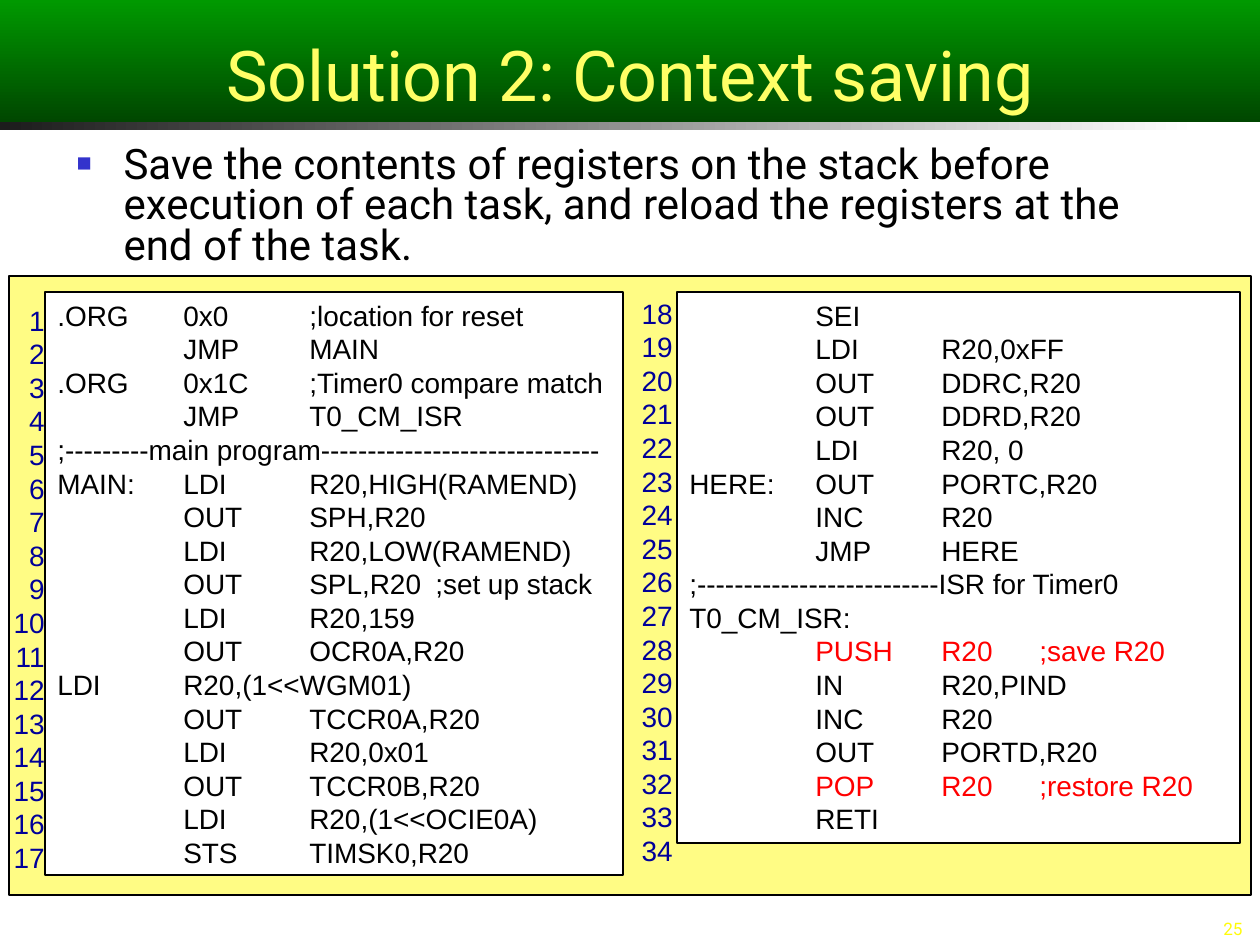
from lxml import etree
from pptx import Presentation
from pptx.dml.color import RGBColor
from pptx.enum.shapes import MSO_SHAPE
from pptx.enum.text import MSO_ANCHOR, MSO_AUTO_SIZE, PP_ALIGN
from pptx.oxml.ns import qn
from pptx.util import Pt

RECT = MSO_SHAPE.RECTANGLE
TOP = MSO_ANCHOR.TOP
BOTTOM = MSO_ANCHOR.BOTTOM
GROW = MSO_AUTO_SIZE.SHAPE_TO_FIT_TEXT
FIXED = MSO_AUTO_SIZE.NONE
LEFT = PP_ALIGN.LEFT
CENTER = PP_ALIGN.CENTER
RIGHT = PP_ALIGN.RIGHT
UNIT = 914400 / 126

SETUP = """.ORG\t0x0\t;location for reset
\tJMP\tMAIN
.ORG\t0x1C\t;Timer0 compare match
\tJMP\tT0_CM_ISR
;---------main program------------------------------
MAIN:\tLDI\tR20,HIGH(RAMEND)
\tOUT\tSPH,R20
\tLDI\tR20,LOW(RAMEND)
\tOUT\tSPL,R20\t;set up stack
\tLDI\tR20,159
\tOUT\tOCR0A,R20
LDI\tR20,(1<<WGM01)
\tOUT\tTCCR0A,R20
\tLDI\tR20,0x01
\tOUT\tTCCR0B,R20
\tLDI\tR20,(1<<OCIE0A)
\tSTS\tTIMSK0,R20"""

LOOP = """\tSEI
\tLDI\tR20,0xFF
\tOUT\tDDRC,R20
\tOUT\tDDRD,R20
\tLDI\tR20, 0
HERE:\tOUT\tPORTC,R20
\tINC\tR20
\tJMP\tHERE
;--------------------------ISR for Timer0
T0_CM_ISR:
\tPUSH\tR20\t;save R20
\tIN\tR20,PIND
\tINC\tR20
\tOUT\tPORTD,R20
\tPOP\tR20\t;restore R20
\tRETI"""


def px(n):
    return round(n * UNIT)


def rgb(code):
    return RGBColor.from_string(code)


class Deck:
    head = "Roboto"
    mono = "Arial"
    black = "000000"
    red = "FF0000"
    navy = "000099"

    def __init__(self):
        self.prs = Presentation()
        self.prs.slide_width = px(1260)
        self.prs.slide_height = px(945)
        self.slide = self.prs.slides.add_slide(self.prs.slide_layouts[1])

    def place(self, shape, x, y, w, h):
        shape.left, shape.top = px(x), px(y)
        shape.width, shape.height = px(w), px(h)

    def fade(self, shape, first, last, angle):
        shape.fill.gradient()
        shape.fill.gradient_angle = angle
        for stop, code in zip(shape.fill.gradient_stops, (first, last)):
            stop.color.rgb = rgb(code)

    def rect(self, x, y, w, h):
        shape = self.slide.shapes.add_shape(RECT, px(x), px(y), px(w), px(h))
        shape.shadow.inherit = False
        return shape

    def panel(self, x, y, w, h, fill):
        shape = self.rect(x, y, w, h)
        shape.fill.solid()
        shape.fill.fore_color.rgb = rgb(fill)
        shape.line.color.rgb = rgb(self.black)
        shape.line.width = Pt(0.75)
        return shape

    def band(self, x, y, w, h, first, last):
        shape = self.rect(x, y, w, h)
        self.fade(shape, first, last, 0)
        shape.line.fill.background()

    def box(self, x, y, w, h):
        return self.slide.shapes.add_textbox(px(x), px(y), px(w), px(h))

    def frame(self, shape, anchor, fit):
        frame = shape.text_frame
        frame.word_wrap = True
        frame.vertical_anchor = anchor
        frame.auto_size = fit
        return frame

    def run(self, para, text, size, face, code):
        run = para.add_run()
        run.text = text
        run.font.size = Pt(size)
        run.font.name = face
        run.font.color.rgb = rgb(code)

    def tabs(self, para, stops):
        tabs = etree.SubElement(para._p.get_or_add_pPr(), qn("a:tabLst"))
        for stop in stops:
            etree.SubElement(tabs, qn("a:tab"), pos=str(px(stop)), algn="l")

    def bullet(self, para, mark, code):
        props = para._p.get_or_add_pPr()
        props.set("marL", str(px(47)))
        props.set("indent", str(px(-47)))
        color = etree.SubElement(props, qn("a:buClr"))
        etree.SubElement(color, qn("a:srgbClr"), val=code)
        etree.SubElement(props, qn("a:buSzPct"), val="60000")
        etree.SubElement(props, qn("a:buFont"), typeface=self.mono)
        etree.SubElement(props, qn("a:buChar"), char=mark)

    def title(self, text, x, y, w, h):
        shape = self.slide.shapes.title
        self.place(shape, x, y, w, h)
        self.fade(shape, "009900", "004700", 270)
        para = self.frame(shape, BOTTOM, FIXED).paragraphs[0]
        para.alignment = CENTER
        self.run(para, text, 40, self.head, "FFFF66")

    def body(self, text, x, y, w, h):
        shape = self.slide.placeholders[1]
        self.place(shape, x, y, w, h)
        para = self.frame(shape, TOP, FIXED).paragraphs[0]
        self.bullet(para, "■", "3333CC")
        para.line_spacing = 0.8
        para.space_before = Pt(0)
        self.run(para, text, 24, self.head, self.black)

    def lines(self, shape, rows, align, code, stops=()):
        frame = self.frame(shape, TOP, GROW)
        for i, row in enumerate(rows):
            para = frame.add_paragraph() if i else frame.paragraphs[0]
            if stops:
                self.tabs(para, stops)
            para.alignment = align
            hot = row.startswith(("\tPUSH", "\tPOP"))
            self.run(para, row, 16, self.mono, self.red if hot else code)

    def code(self, text, x, y, w, h, stops):
        shape = self.panel(x, y, w, h, "FFFFFF")
        self.lines(shape, text.split("\n"), LEFT, self.black, stops)

    def count(self, first, last, x, y, w, h):
        rows = [str(n) for n in range(first, last + 1)]
        self.lines(self.box(x, y, w, h), rows, RIGHT, self.navy)

    def page(self, text, x, y, w, h):
        para = self.frame(self.box(x, y, w, h), BOTTOM, FIXED).paragraphs[0]
        para.alignment = RIGHT
        para.line_spacing = 0.8
        self.run(para, text, 9.8, self.head, "FFFB0B")


def main():
    deck = Deck()
    deck.title("Solution 2: Context saving", 0, 0, 1260, 122)
    deck.body("Save the contents of registers on the stack before execution of "
              "each task, and reload the registers at the end of the task.",
              64, 141, 1145, 146)
    deck.band(0, 122, 1198, 8, "1C1C1C", "FFFFFF")
    deck.page("25", 987, 910, 268, 35)
    deck.panel(9, 276, 1242, 619, "FFFC84")
    deck.code(SETUP, 45, 292, 578, 583, (126, 252, 378))
    deck.code(LOOP, 677, 292, 563, 551, (126, 252, 350))
    deck.count(1, 17, -11, 297, 68, 583)
    deck.count(18, 34, 617, 290, 68, 583)
    deck.prs.save("out.pptx")


if __name__ == "__main__":
    main()
